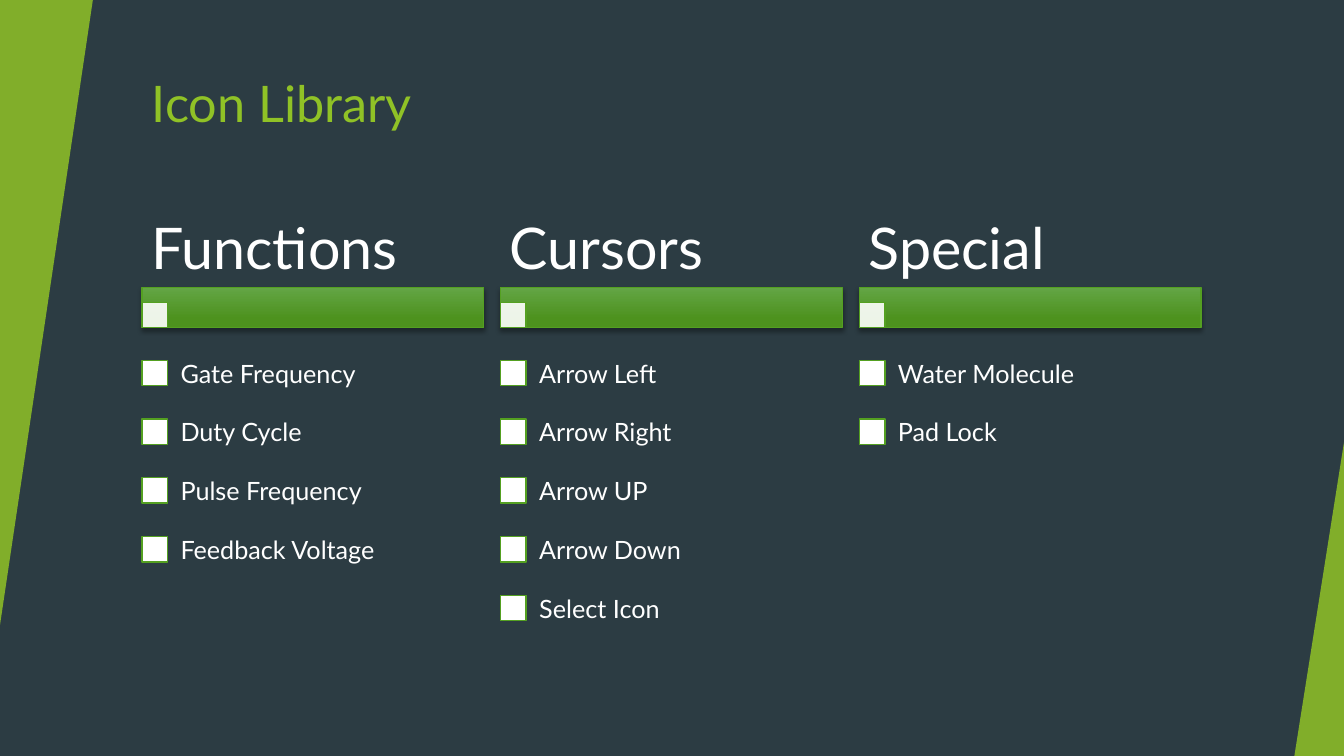
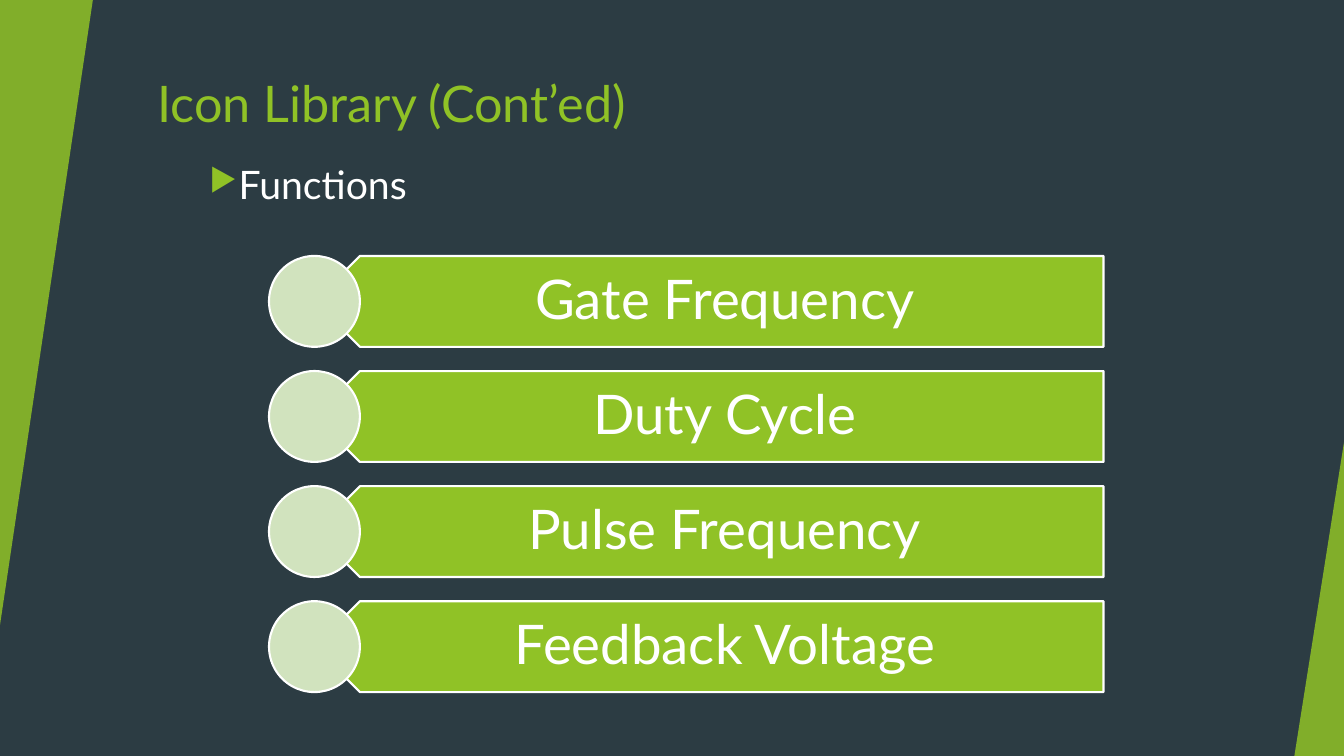
from lxml.etree import SubElement
from pptx import Presentation
from pptx.dml.color import RGBColor
from pptx.enum.shapes import MSO_SHAPE
from pptx.enum.text import MSO_ANCHOR, PP_ALIGN
from pptx.oxml.ns import qn
from pptx.util import Cm, Pt

# Shared look
FONT = "Lato"
SLATE = RGBColor(0x2C, 0x3C, 0x43)
LIME = RGBColor(0x90, 0xC2, 0x26)
GREEN = RGBColor(0x54, 0xA0, 0x21)
BAR_TOP = RGBColor(0x63, 0xA5, 0x45)
BAR_BOTTOM = RGBColor(0x4D, 0x92, 0x1E)
PALE_GREEN = RGBColor(0xD1, 0xE3, 0xBE)
WHITE = RGBColor(0xFF, 0xFF, 0xFF)
SLIDE_W, SLIDE_H = Cm(33.87), Cm(19.05)

# Content
FUNCTIONS = ["Gate Frequency", "Duty Cycle", "Pulse Frequency", "Feedback Voltage"]
LIBRARY = [
    ("Functions", FUNCTIONS),
    ("Cursors", ["Arrow Left", "Arrow Right", "Arrow UP", "Arrow Down", "Select Icon"]),
    ("Special", ["Water Molecule", "Pad Lock"]),
]


def add_alpha(color, percent):
    SubElement(color, qn("a:alpha")).set("val", str(percent * 1000))


def add_box(s, kind, left, top, width, height, fill=None, line=None, weight=1, alpha=None):
    sp = s.shapes.add_shape(kind, left, top, width, height)
    sp.shadow.inherit = False
    if fill is not None:
        sp.fill.solid()
        sp.fill.fore_color.rgb = fill
    if alpha is not None:
        add_alpha(sp.element.spPr.find(qn("a:solidFill"))[0], alpha)
    if line is None:
        sp.line.fill.background()
    else:
        sp.line.color.rgb = line
        sp.line.width = Pt(weight)
    return sp


def add_text(s, text, left, top, width, height, size, color=WHITE,
             anchor=MSO_ANCHOR.MIDDLE, align=PP_ALIGN.LEFT,
             margins=(0.25, 0.13, 0.25, 0.13), spacing=None):
    tf = s.shapes.add_textbox(left, top, width, height).text_frame
    tf.word_wrap = True
    tf.vertical_anchor = anchor
    (tf.margin_left, tf.margin_top,
     tf.margin_right, tf.margin_bottom) = [Cm(m) for m in margins]
    p = tf.paragraphs[0]
    p.text = text
    p.alignment = align
    p.line_spacing = spacing
    r = p.runs[0]
    r.font.name = FONT
    r.font.size = Pt(size)
    r.font.color.rgb = color
    return p


def add_slide(prs, title, title_left):
    """Blank slide with dark background, title and the two green wedges."""
    s = prs.slides.add_slide(prs.slide_layouts[6])
    s.background.fill.solid()
    s.background.fill.fore_color.rgb = SLATE
    add_text(s, title, title_left, Cm(1.7), Cm(24), Cm(2.06), 36, LIME, MSO_ANCHOR.TOP)
    for left, top, width, height, turn in (
        (0, 0, Cm(2.34), Cm(15.75), 180),
        (SLIDE_W - Cm(1.25), SLIDE_H - Cm(7.9), Cm(1.25), Cm(7.9), 0),
    ):
        sp = add_box(s, MSO_SHAPE.ISOSCELES_TRIANGLE, left, top, width, height, LIME, alpha=85)
        sp.adjustments[0] = 1
        sp.rotation = turn
    return s


def add_heading_bar(s, left, top, width, height):
    """Gradient bar with a soft shadow below it."""
    sp = add_box(s, MSO_SHAPE.RECTANGLE, left, top, width, height, line=GREEN)
    sp.fill.gradient()
    sp.fill.gradient_angle = 270
    for stop, color, position in zip(sp.fill.gradient_stops, (BAR_TOP, BAR_BOTTOM), (0, 0.78)):
        stop.color.rgb = color
        stop.position = position
    shadow = SubElement(sp.element.spPr.find(qn("a:effectLst")), qn("a:outerShdw"),
                        blurRad=str(Pt(3)), dist=str(Pt(2)), dir="5400000", rotWithShape="0")
    add_alpha(SubElement(shadow, qn("a:srgbClr"), val="000000"), 35)


def add_icon_column(s, heading, items, left, top, width):
    """Heading, bar and a list of labels with square markers."""
    heading_h, bar_h, row_h, side = Cm(1.83), Cm(1.02), Cm(1.48), Cm(0.64)
    add_text(s, heading, left, top, width, heading_h, 41,
             margins=(0.23, 0.15, 0.23, 0.15), spacing=0.9)
    bar_top = top + heading_h
    add_heading_bar(s, left, bar_top, width, bar_h)
    add_box(s, MSO_SHAPE.RECTANGLE, left, bar_top + bar_h - side, side, side,
            WHITE, GREEN, alpha=90)
    for i, item in enumerate(items):
        row_top = top + Cm(3.25) + i * row_h
        add_box(s, MSO_SHAPE.RECTANGLE, left, row_top + (row_h - side) // 2, side, side,
                WHITE, GREEN)
        add_text(s, item, left + Cm(0.61), row_top, width - Cm(0.61), row_h, 18,
                 margins=(0.36,) * 4)


def add_function_list(s, items, left, top, width):
    """Stack of arrow-ended bars, each with a circle over its tip."""
    bar_h, pitch = Cm(2.29), Cm(2.9)
    bar_left, text_left = left + bar_h // 2, left + Cm(1.7)
    right = left + width
    for i, item in enumerate(items):
        y = top + i * pitch
        bar = add_box(s, MSO_SHAPE.PENTAGON, bar_left, y, right - bar_left, bar_h,
                      LIME, WHITE, 1.5)
        bar.rotation = 180
        add_text(s, item, text_left, y, right - text_left, bar_h, 39,
                 align=PP_ALIGN.CENTER, margins=(1, 0.4, 0.76, 0.4), spacing=0.9)
        add_box(s, MSO_SHAPE.OVAL, left, y, bar_h, bar_h, PALE_GREEN, WHITE, 1.5)


def add_bullet_line(s, text, left, top, width, height):
    """Section line with a triangular bullet."""
    p = add_text(s, text, left, top, width, height, 28, anchor=MSO_ANCHOR.TOP)
    p.space_before = Pt(10)
    pPr = p._p.get_or_add_pPr()
    pPr.set("marL", "0")
    pPr.set("indent", str(-Cm(0.95)))
    SubElement(SubElement(pPr, qn("a:buClr")), qn("a:srgbClr"), val=str(LIME))
    SubElement(pPr, qn("a:buSzPct"), val="80000")
    SubElement(pPr, qn("a:buChar"), char="▶")


def build_library_slide(prs):
    s = add_slide(prs, "Icon Library", Cm(3.58))
    for i, (heading, items) in enumerate(LIBRARY):
        add_icon_column(s, heading, items, Cm(3.58) + i * Cm(9.04), Cm(5.41), Cm(8.61))


def build_functions_slide(prs):
    s = add_slide(prs, "Icon Library (Cont’ed)", Cm(3.71))
    add_bullet_line(s, "Functions", Cm(5.03), Cm(3.91), Cm(22.86), Cm(1.27))
    add_function_list(s, FUNCTIONS, Cm(6.78), Cm(6.45), Cm(21.03))


def main():
    prs = Presentation()
    prs.slide_width, prs.slide_height = SLIDE_W, SLIDE_H
    build_library_slide(prs)
    build_functions_slide(prs)
    prs.save("out.pptx")


if __name__ == "__main__":
    main()
